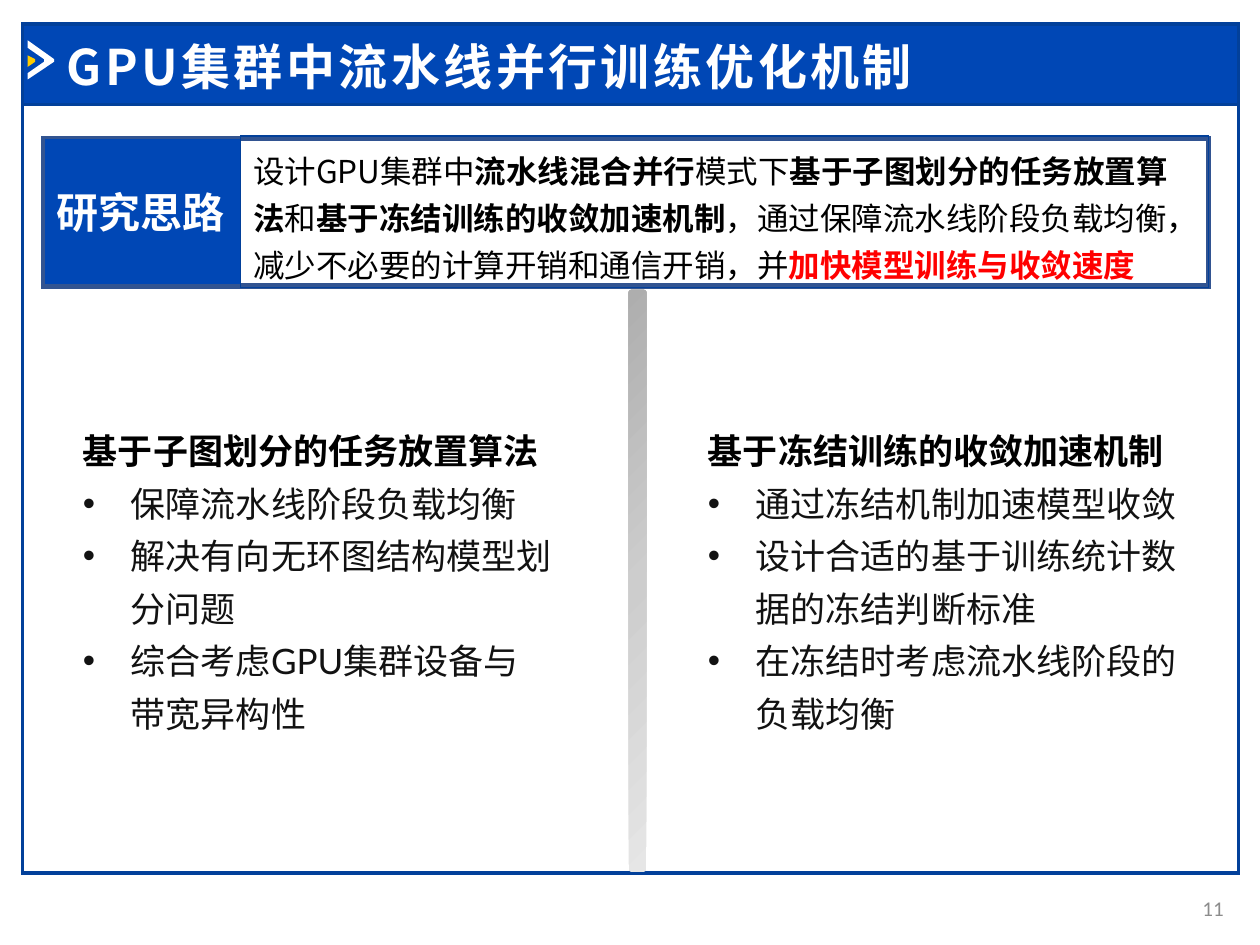
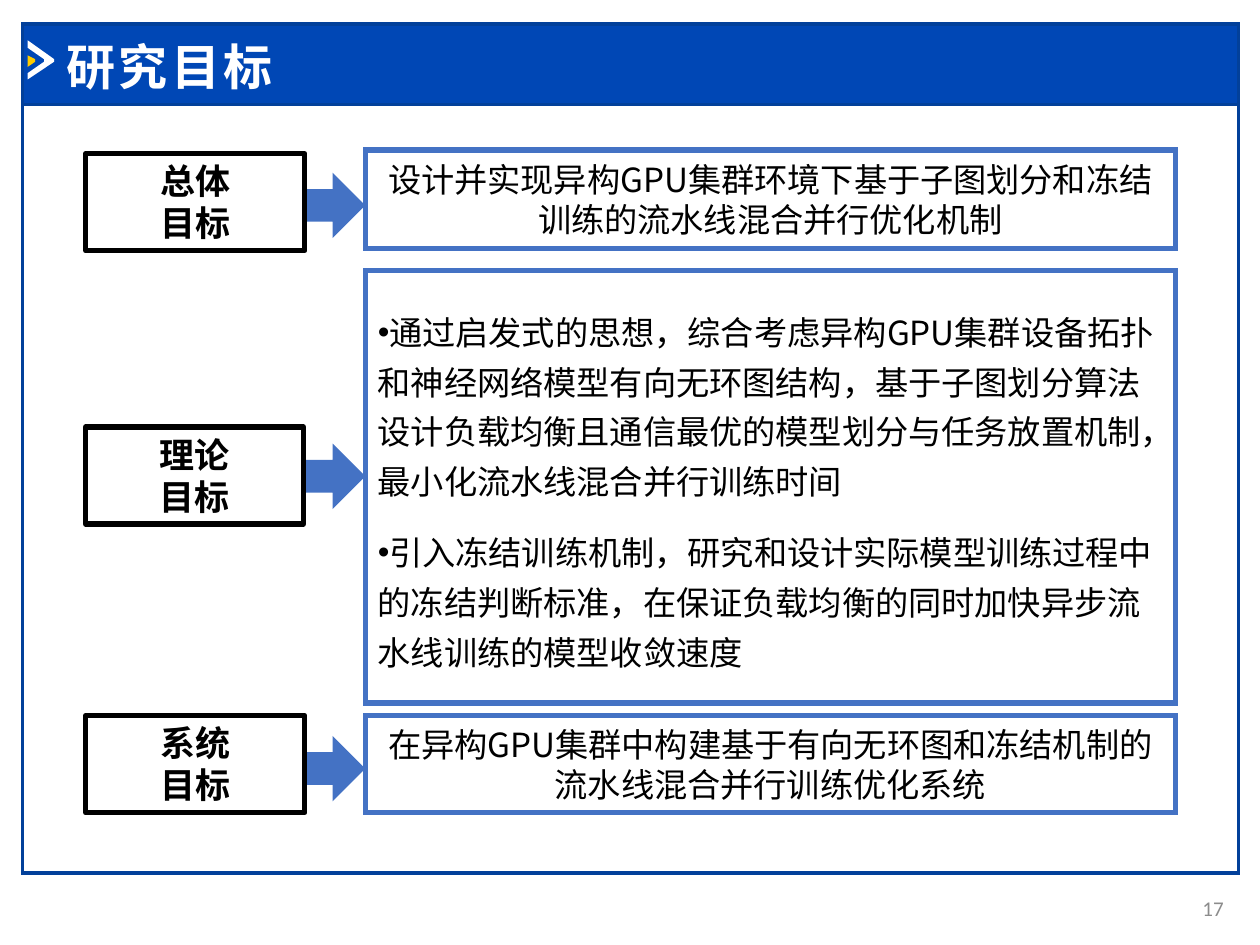
from dataclasses import dataclass
from typing import NamedTuple

import pptx
import pptx.dml.color
import pptx.enum.shapes
import pptx.enum.text
import pptx.oxml
import pptx.oxml.ns
import pptx.util
from lxml import etree

Inches = pptx.util.Inches
SHAPE = pptx.enum.shapes.MSO_SHAPE
ANCHOR = pptx.enum.text.MSO_ANCHOR
ALIGN = pptx.enum.text.PP_ALIGN
qn = pptx.oxml.ns.qn

# Shared colours and fonts
BLUE, NAVY, STEEL, SKY = "0047B5", "02409A", "325491", "4472C4"
WHITE, BLACK, RED, GOLD, GREY, INK = (
    "FFFFFF", "000000", "FF0000", "FFCC00", "8C8C8C", "121212")
NOTO, LATO, CALIBRI = "Noto Sans CJK SC", "Lato", "Calibri"


class Box(NamedTuple):
    left: float
    top: float
    width: float
    height: float


@dataclass
class Run:
    text: str
    bold: bool = False
    color: str = BLACK
    font: str = NOTO


@dataclass
class Para:
    runs: list[Run]
    hang: tuple[float, float] | None = None  # margin and indent of a bullet
    after: float = 0


@dataclass
class Theme:
    left: float
    head: str
    points: list[str]


@dataclass
class Goal:
    label: str
    tag: Box
    arrow: float
    frame: Box
    paras: list[Para]
    align: int
    space: float


def paint(target, color: str) -> None:
    """Give a fill or a font one solid colour."""
    if hasattr(target, "solid"):
        target.solid()
        target = target.fore_color
    else:
        target = target.color
    target.rgb = pptx.dml.color.RGBColor.from_string(color)


def style(shape, fill: str | None, line: str | None, weight: float,
          sharp: bool = True) -> None:
    shape.shadow.inherit = False
    if fill:
        paint(shape.fill, fill)
    else:
        shape.fill.background()
    if line:
        paint(shape.line.fill, line)
        shape.line.width = pptx.util.Pt(weight)
        if sharp:
            edge = shape._element.spPr.find(qn("a:ln"))
            etree.SubElement(edge, qn("a:miter"), lim="800000")
    else:
        shape.line.fill.background()


def draw(slide, box: Box, fill: str | None = None, line: str | None = None,
         weight: float = 1, kind=SHAPE.RECTANGLE, sharp: bool = True):
    shape = slide.shapes.add_shape(kind, *map(Inches, box))
    style(shape, fill, line, weight, sharp)
    return shape


def outline(slide, points: list[tuple[float, float]], fill: str) -> None:
    spots = [(Inches(x), Inches(y)) for x, y in points]
    pen = slide.shapes.build_freeform(*spots[0])
    pen.add_line_segments(spots[1:], close=True)
    style(pen.convert_to_shape(), fill, None, 0)


def write(shape, text: str | list[Para], *, size: float, bold: bool = False,
          color: str = BLACK, font: str = NOTO, align=ALIGN.LEFT,
          anchor=ANCHOR.TOP, space: float = 1, track: float = 0) -> None:
    """Fill a shape; plain text takes the given format, line by line."""
    if isinstance(text, str):
        text = [Para([Run(row, bold, color, font)]) for row in text.split("\n")]
    frame = shape.text_frame
    frame.word_wrap = True
    frame.vertical_anchor = anchor
    for i, para in enumerate(text):
        item = frame.paragraphs[0] if i == 0 else frame.add_paragraph()
        if para.hang:
            props = item._p.get_or_add_pPr()
            props.set("marL", str(Inches(para.hang[0])))
            props.set("indent", str(Inches(para.hang[1])))
            etree.SubElement(props, qn("a:buFont"), typeface="Arial")
            etree.SubElement(props, qn("a:buChar"), char="•")
        item.alignment = align
        item.line_spacing = space
        if para.after:
            item.space_after = pptx.util.Pt(para.after)
        for part in para.runs:
            run = item.add_run()
            run.text = part.text
            run.font.size = pptx.util.Pt(size)
            run.font.bold = part.bold
            paint(run.font, part.color)
            run.font.name = part.font
            mark = run._r.get_or_add_rPr()
            etree.SubElement(mark, qn("a:ea"), typeface=NOTO)
            if track:
                mark.set("spc", str(int(track * 100)))


def label(slide, box: Box, text: str | list[Para], **form) -> None:
    write(slide.shapes.add_textbox(*map(Inches, box)), text, **form)


def fade(shape, *colors: str) -> None:
    """Spread colours evenly in rings from the top left corner."""
    step = 100000 // (len(colors) - 1)
    stops = "".join(f'<a:gs pos="{i * step}"><a:srgbClr val="{c}"/></a:gs>'
                    for i, c in enumerate(colors))
    grad = pptx.oxml.parse_xml(
        f'<a:gradFill {pptx.oxml.ns.nsdecls("a")}><a:gsLst>{stops}</a:gsLst>'
        '<a:path path="circle"><a:fillToRect r="100000" b="100000"/></a:path>'
        '</a:gradFill>')
    props = shape._element.spPr
    old = props.find(qn("a:solidFill"))
    props.replace(old, grad)


def start(deck, title: list[Run], page: int):
    """Add a slide with frame, title band, chevron and page number."""
    slide = deck.slides.add_slide(deck.slide_layouts[6])
    draw(slide, Box(0.18, 0.83, 9.65, 6.1), line=NAVY, weight=2)
    draw(slide, Box(0.18, 0.19, 9.65, 0.64), BLUE, NAVY, 2)
    outline(slide, [(0.22, 0.32), (0.43, 0.47), (0.43, 0.49), (0.22, 0.63),
                    (0.22, 0.58), (0.35, 0.49), (0.35, 0.47), (0.22, 0.38)],
            WHITE)
    outline(slide, [(0.22, 0.44), (0.28, 0.47), (0.28, 0.49), (0.22, 0.53)],
            GOLD)
    label(slide, Box(9.22, 7.01, 0.59, 0.4), str(page), size=12, color=GREY,
          font=CALIBRI, align=ALIGN.RIGHT, anchor=ANCHOR.MIDDLE)
    label(slide, Box(0.43, 0.24, 8.28, 0.57), [Para(title)], size=28,
          anchor=ANCHOR.MIDDLE, track=2)
    return slide


def plan(deck) -> None:
    slide = start(deck, [Run("GPU集群中", True, WHITE),
                         Run("流水线并行训练优化机制", True, WHITE, CALIBRI)], 11)

    # Research idea banner
    draw(slide, Box(0.35, 1.1, 9.24, 1.17), WHITE, STEEL, 3)
    draw(slide, Box(0.35, 1.1, 1.56, 1.16), BLUE, STEEL, 1)
    label(slide, Box(0.35, 1.43, 1.76, 0.5), "研究思路", size=24, bold=True,
          color=WHITE)
    idea = [
        Run("设计GPU集群中"), Run("流水线混合并行", True), Run("模式下"),
        Run("基于子图划分的任务放置算法", True), Run("和"),
        Run("基于冻结训练的收敛加速机制", True),
        Run("，通过保障流水线阶段负载均衡，减少不必要的计算开销和通信开销，并"),
        Run("加快模型训练与收敛速度", True, RED)]
    write(draw(slide, Box(1.91, 1.08, 7.68, 1.2), line=NAVY, weight=0.75),
          [Para(idea)], size=18, space=1.25)

    # Divider and the two themes
    bar = draw(slide, Box(4.99, 2.3, 0.14, 4.62), GREY,
               kind=SHAPE.ROUNDED_RECTANGLE)
    fade(bar, "AEAEAE", "CDCDCD", "E6E6E6")
    themes = [
        Theme(0.56, "基于子图划分的任务放置算法",
              ["保障流水线阶段负载均衡", "解决有向无环图结构模型划分问题",
               "综合考虑GPU集群设备与带宽异构性"]),
        Theme(5.52, "基于冻结训练的收敛加速机制",
              ["通过冻结机制加速模型收敛", "设计合适的基于训练统计数据的冻结判断标准",
               "在冻结时考虑流水线阶段的负载均衡"])]
    for theme in themes:
        paras = [Para([Run(theme.head, True)])]
        paras += [Para([Run(point, False, INK, LATO)], (0.38, -0.38))
                  for point in theme.points]
        label(slide, Box(theme.left, 3.28, 3.92, 2.59), paras, size=20,
              space=1.25)


def aims(deck) -> None:
    slide = start(deck, [Run("研究目标", True, WHITE, CALIBRI)], 17)
    goals = [
        Goal("总体\n目标", Box(0.68, 1.22, 1.74, 0.77), 1.37,
             Box(2.9, 1.19, 6.43, 0.78),
             [Para([Run("设计并实现异构GPU集群环境下基于子图划分和冻结"
                        "训练的流水线混合并行优化机制")])],
             ALIGN.CENTER, 1),
        Goal("理论\n目标", Box(0.68, 3.39, 1.73, 0.77), 3.52,
             Box(2.9, 2.15, 6.43, 3.43),
             [Para([Run("通过启发式的思想，综合考虑异构GPU集群设备拓扑和神经网络"
                        "模型有向无环图结构，基于子图划分算法设计负载均衡且通信最优的"
                        "模型划分与任务放置机制，最小化流水线混合并行训练时间")],
                   (0, -0.31), 12),
              Para([Run("引入冻结训练机制，研究和设计实际模型训练过程中的冻结判断标准，"
                        "在保证负载均衡的同时加快异步流水线训练的模型收敛速度")],
                   (0, -0.31))],
             ALIGN.LEFT, 1.25),
        Goal("系统\n目标", Box(0.68, 5.68, 1.74, 0.77), 5.84,
             Box(2.9, 5.68, 6.43, 0.77),
             [Para([Run("在异构GPU集群中构建基于有向无环图和冻结机制的"
                        "流水线混合并行训练优化系统")])],
             ALIGN.CENTER, 1)]

    # Arrow, tag and framed text of each goal
    for goal in goals:
        draw(slide, Box(2.3, goal.arrow, 0.6, 0.52), SKY,
             kind=SHAPE.RIGHT_ARROW)
        write(draw(slide, goal.tag, WHITE, BLACK, 3, sharp=False), goal.label,
              size=20, bold=True, align=ALIGN.CENTER)
        write(draw(slide, goal.frame, line=SKY, weight=3), goal.paras, size=19,
              align=goal.align, anchor=ANCHOR.MIDDLE, space=goal.space)


def main() -> None:
    deck = pptx.Presentation()
    deck.slide_width, deck.slide_height = Inches(10), Inches(7.5)
    plan(deck)
    aims(deck)
    deck.save("out.pptx")


if __name__ == "__main__":
    main()
